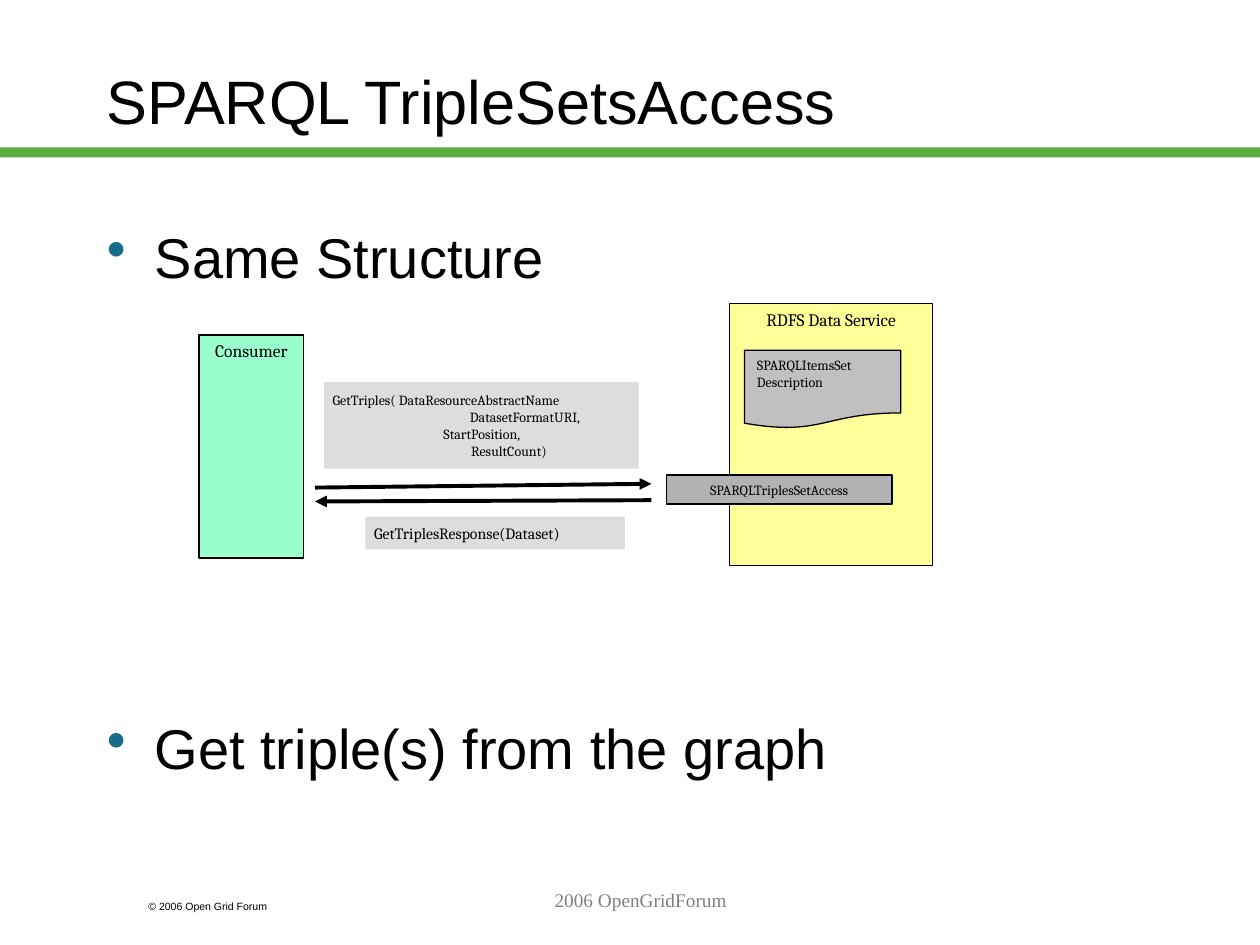
"""Builds the SPARQL TripleSetsAccess slide."""
import pptx
import pptx.util
import pptx.dml.color
import pptx.enum.shapes
import pptx.enum.text
import pptx.oxml.ns
import lxml.etree

Inches = pptx.util.Inches
Pt = pptx.util.Pt
Shape = pptx.enum.shapes.MSO_SHAPE
Align = pptx.enum.text.PP_ALIGN
Anchor = pptx.enum.text.MSO_ANCHOR

COLORS = {
    "text": "000000", "footer": "808080", "bar": "5DAD41", "bullet": "176D89",
    "consumer": "99FFCC", "service": "FFFF99", "message": "DDDDDD",
    "access": "B2B2B2", "document": "C0C0C0",
}
WIDE, NARROW = (0.1, 0.05), (0.07, 0.04)

TITLE = "SPARQL TripleSetsAccess"
BULLETS = [("Same Structure", 0), ("Get triple(s) from the graph", 242)]
COPYRIGHT = "© 2006 Open Grid Forum"
FOOTER = "2006 OpenGridForum"

REQUEST = [("GetTriples( DataResourceAbstractName", 0), ("DatasetFormatURI,", 1.09),
           ("StartPosition,", 0.88), ("ResultCount)", 1.1)]
RESPONSE = [("GetTriplesResponse(Dataset)", 0)]
DESCRIPTION = [("SPARQLItemsSet", 0), ("Description", 0)]

CONSUMER_BOX = (1.58, 2.66, 0.83, 1.77)
ARROWS = [((2.5, 3.87), (5.17, 3.84)), ((5.17, 3.97), (2.5, 3.98))]
MESSAGES = [((2.57, 3.03, 2.5, 0.69), REQUEST, 8),
            ((2.9, 4.1, 2.06, 0.26), RESPONSE, 9)]
SERVICE_BOX = (5.79, 2.41, 1.61, 2.08)
ACCESS_BOX = (5.29, 3.77, 1.79, 0.23)
DOCUMENT_BOX = (5.91, 2.78, 1.24, 0.62)


def rgb(name):
    return pptx.dml.color.RGBColor.from_string(COLORS[name])


def write(shape, lines, size, font, color="text", align=Align.LEFT,
          anchor=Anchor.TOP, margins=WIDE, wrap=True):
    frame = shape.text_frame
    frame.word_wrap = wrap
    frame.vertical_anchor = anchor
    frame.margin_left = frame.margin_right = Inches(margins[0])
    frame.margin_top = frame.margin_bottom = Inches(margins[1])
    for index, (text, indent) in enumerate(lines):
        para = frame.add_paragraph() if index else frame.paragraphs[0]
        para.text = text
        para.alignment = align
        if indent:
            para._p.get_or_add_pPr().set("marL", str(Inches(indent)))
        para.font.size = Pt(size)
        para.font.name = font
        para.font.color.rgb = rgb(color)


def add_text(page, place, text, size, font, **style):
    box = page.shapes.add_textbox(*map(Inches, place))
    write(box, [(text, 0)], size, font, **style)


def add_box(page, place, fill, kind=Shape.RECTANGLE, outlined=True):
    box = page.shapes.add_shape(kind, *map(Inches, place))
    box.shadow.inherit = False
    box.fill.solid()
    box.fill.fore_color.rgb = rgb(fill)
    if outlined:
        box.line.color.rgb = rgb("text")
        box.line.width = Pt(0.75)
    else:
        box.line.fill.background()
    return box


def add_arrow(page, start, end):
    arrow = page.shapes.add_connector(
        pptx.enum.shapes.MSO_CONNECTOR.STRAIGHT, *map(Inches, start + end))
    arrow.line.color.rgb = rgb("text")
    arrow.line.width = Pt(2.25)
    tail = lxml.etree.SubElement(arrow.line._get_or_add_ln(), pptx.oxml.ns.qn("a:tailEnd"))
    tail.set("type", "triangle")
    lxml.etree.SubElement(arrow._element.spPr, pptx.oxml.ns.qn("a:effectLst"))


def add_bullets(page):
    box = page.shapes.add_textbox(*map(Inches, (0.75, 1.72, 8.5, 4.45)))
    write(box, [(text, 0.38) for text, gap in BULLETS], 32, "Arial")
    for para, (text, gap) in zip(box.text_frame.paragraphs, BULLETS):
        para.space_before = Pt(gap)
        properties = para._p.get_or_add_pPr()
        properties.set("indent", str(-Inches(0.38)))
        tint = lxml.etree.Element(pptx.oxml.ns.qn("a:buClr"))
        lxml.etree.SubElement(tint, pptx.oxml.ns.qn("a:srgbClr")).set("val", COLORS["bullet"])
        mark = lxml.etree.Element(pptx.oxml.ns.qn("a:buChar"))
        mark.set("char", "•")
        defaults = properties.find(pptx.oxml.ns.qn("a:defRPr"))
        defaults.addprevious(tint)
        defaults.addprevious(mark)


def add_diagram(page):
    consumer = add_box(page, CONSUMER_BOX, "consumer")
    write(consumer, [("Consumer", 0)], 10, "Cambria", align=Align.CENTER,
          margins=NARROW, wrap=False)
    for start, end in ARROWS:
        add_arrow(page, start, end)
    for place, lines, size in MESSAGES:
        message = add_box(page, place, "message", outlined=False)
        write(message, lines, size, "Cambria", anchor=Anchor.MIDDLE, margins=NARROW)
    service = add_box(page, SERVICE_BOX, "service")
    write(service, [("RDFS Data Service", 0)], 10, "Cambria",
          align=Align.CENTER, margins=NARROW)
    access = add_box(page, ACCESS_BOX, "access")
    write(access, [("SPARQLTriplesSetAccess", 0)], 8, "Cambria",
          align=Align.CENTER, anchor=Anchor.MIDDLE, margins=NARROW)
    document = add_box(page, DOCUMENT_BOX, "document", Shape.FLOWCHART_DOCUMENT)
    write(document, DESCRIPTION, 8, "Cambria")


def main():
    deck = pptx.Presentation()
    deck.slide_width, deck.slide_height = Inches(10), Inches(7.5)
    page = deck.slides.add_slide(deck.slide_layouts[6])
    add_box(page, (0, 1.17, 10, 0.08), "bar", outlined=False)
    add_text(page, (1.08, 7.09, 1.5, 0.2), COPYRIGHT, 6, "Arial")
    add_text(page, (0.75, 0.17, 8.5, 1.25), TITLE, 35, "Arial", anchor=Anchor.MIDDLE)
    add_bullets(page)
    add_diagram(page)
    add_text(page, (2.17, 7, 5.83, 0.5), FOOTER, 11, "Times New Roman",
             color="footer", align=Align.CENTER)
    deck.save("out.pptx")


if __name__ == "__main__":
    main()
